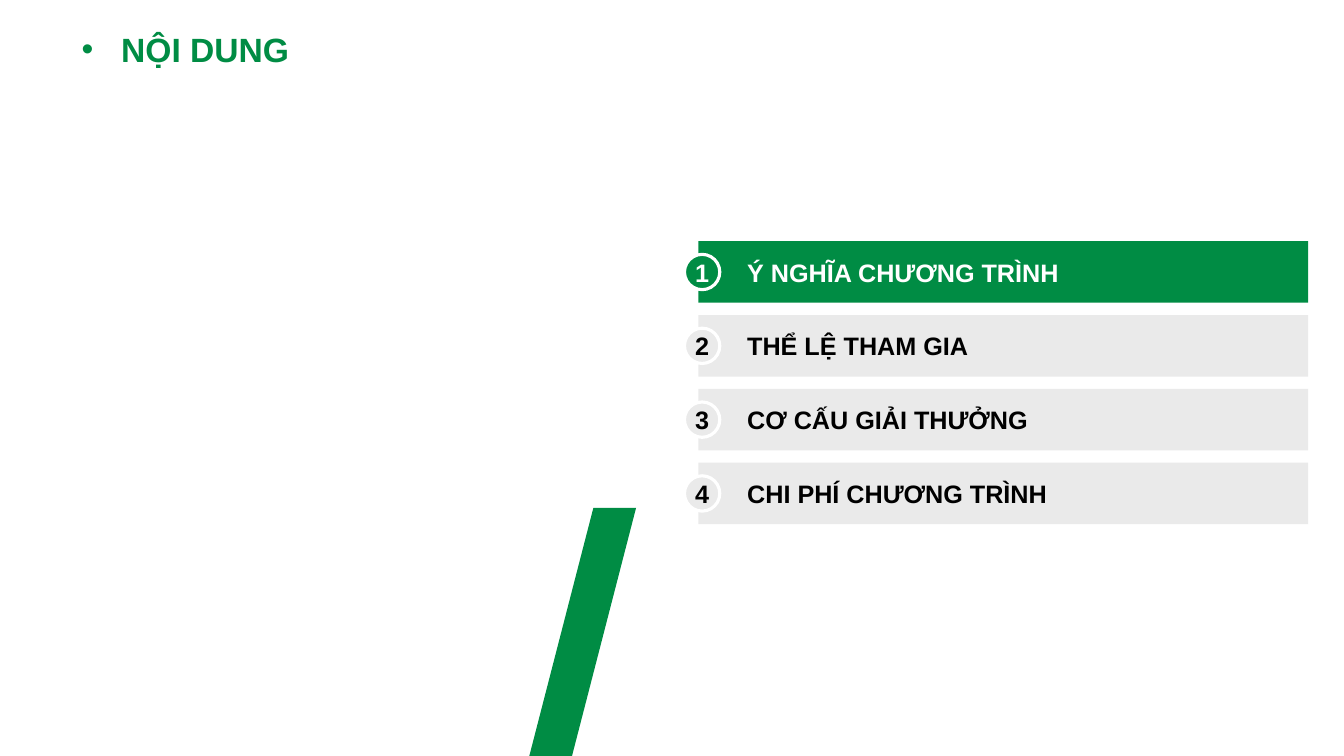
from lxml import etree
from pptx import Presentation
from pptx import util as u
from pptx.dml.color import RGBColor
from pptx.enum import shapes, text
from pptx.oxml import ns

TITLE = "NỘI DUNG"
AGENDA = [
    "Ý NGHĨA CHƯƠNG TRÌNH",
    "THỂ LỆ THAM GIA",
    "CƠ CẤU GIẢI THƯỞNG",
    "CHI PHÍ CHƯƠNG TRÌNH",
]
ACTIVE = 1

FONT = "Arial"
GREEN = RGBColor(0x00, 0x8C, 0x44)
GRAY = RGBColor(0xEA, 0xEA, 0xEA)
WHITE = RGBColor(0xFF, 0xFF, 0xFF)
BLACK = RGBColor(0x00, 0x00, 0x00)

BAR_LEFT, BAR_TOP, BAR_WIDTH, BAR_HEIGHT = 17.6, 6.08, 15.37, 1.55
BAR_PITCH = 1.86
BADGE_LEFT, BADGE_SIZE = 17.25, 0.89
BADGE_DROP = (BAR_HEIGHT - BADGE_SIZE) / 2


def add_run(paragraph, words, size, color):
    run = paragraph.add_run()
    run.text = words
    run.font.name = FONT
    run.font.size = u.Pt(size)
    run.font.bold = True
    run.font.color.rgb = color


def add_filled(parent, kind, left, top, width, height, fill):
    shape = parent.add_shape(kind, u.Cm(left), u.Cm(top), u.Cm(width), u.Cm(height))
    shape.shadow.inherit = False
    shape.fill.solid()
    shape.fill.fore_color.rgb = fill
    shape.line.fill.background()
    return shape


def write_label(shape, words, color, align):
    frame = shape.text_frame
    frame.vertical_anchor = text.MSO_ANCHOR.MIDDLE
    paragraph = frame.paragraphs[0]
    paragraph.alignment = align
    add_run(paragraph, words, 18, color)
    return frame


def add_item(slide, number, words):
    fill, color = (GREEN, WHITE) if number == ACTIVE else (GRAY, BLACK)
    top = BAR_TOP + (number - 1) * BAR_PITCH
    group = slide.shapes.add_group_shape().shapes

    bar = add_filled(group, shapes.MSO_SHAPE.RECTANGLE,
                     BAR_LEFT, top, BAR_WIDTH, BAR_HEIGHT, fill)
    frame = write_label(bar, words, color, text.PP_ALIGN.LEFT)
    frame.margin_left = u.Cm(1.23)

    badge = add_filled(group, shapes.MSO_SHAPE.OVAL,
                       BADGE_LEFT, top + BADGE_DROP, BADGE_SIZE, BADGE_SIZE, fill)
    badge.line.color.rgb = WHITE
    badge.line.width = u.Pt(2.25)
    frame = write_label(badge, str(number), color, text.PP_ALIGN.CENTER)
    frame.word_wrap = False


def write_title(title):
    title.left, title.top = u.Cm(1.8), u.Cm(0.41)
    title.width, title.height = u.Cm(11.53), u.Cm(1.63)
    frame = title.text_frame
    frame.auto_size = text.MSO_AUTO_SIZE.NONE
    frame.vertical_anchor = text.MSO_ANCHOR.MIDDLE
    paragraph = frame.paragraphs[0]
    paragraph.alignment = text.PP_ALIGN.LEFT
    add_run(paragraph, TITLE, 24, GREEN)
    properties = paragraph._p.get_or_add_pPr()
    properties.set("marL", str(u.Cm(1.0)))
    properties.set("indent", str(-u.Cm(1.0)))
    etree.SubElement(properties, ns.qn("a:buFont")).set("typeface", FONT)
    etree.SubElement(properties, ns.qn("a:buChar")).set("char", "•")


def main():
    presentation = Presentation()
    presentation.slide_width = u.Cm(33.87)
    presentation.slide_height = u.Cm(19.05)
    slide = presentation.slides.add_slide(presentation.slide_layouts.get_by_name("Title Only"))
    write_title(slide.shapes.title)

    stripe = add_filled(slide.shapes, shapes.MSO_SHAPE.PARALLELOGRAM,
                        13.34, 12.8, 2.69, 6.25, GREEN)
    stripe.adjustments[0] = 0.6

    for number, words in enumerate(AGENDA, start=1):
        add_item(slide, number, words)

    presentation.save("out.pptx")


if __name__ == "__main__":
    main()
